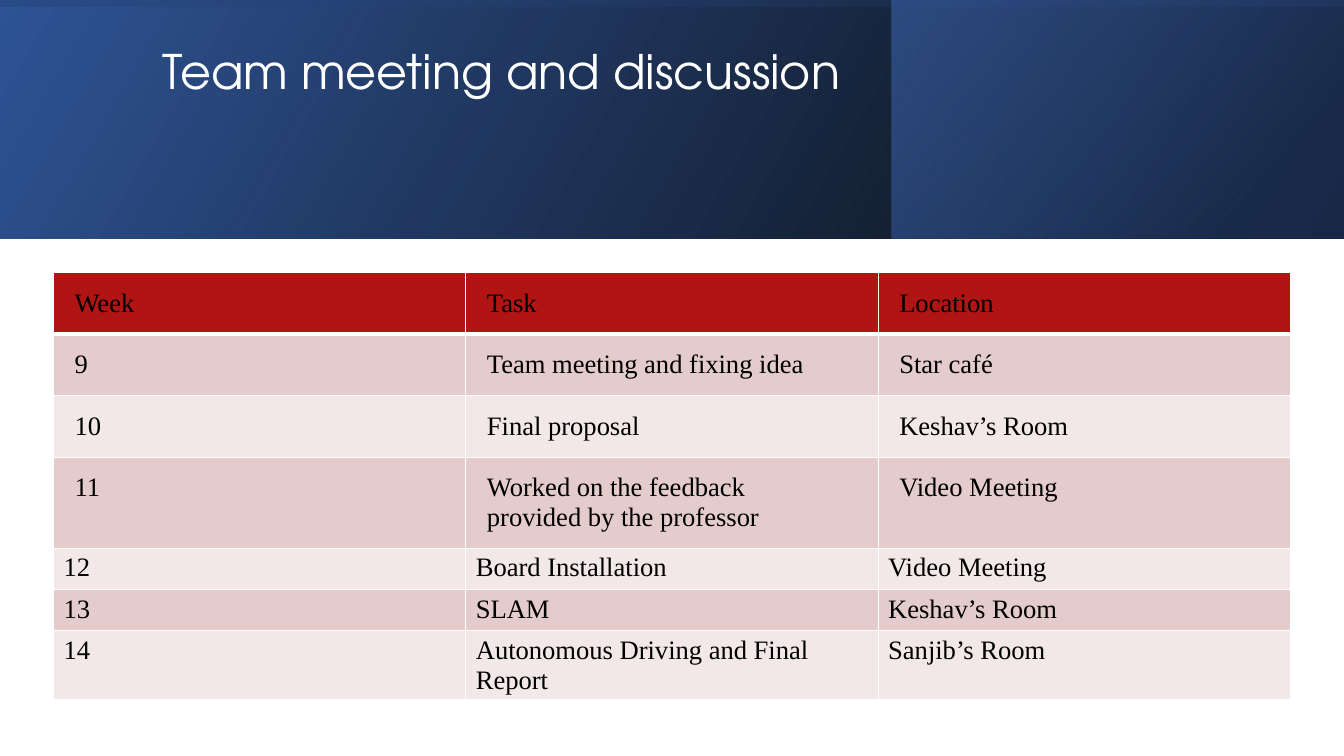
import pptx
import pptx.dml.color
import pptx.enum.shapes
import pptx.enum.text
import pptx.oxml
import pptx.oxml.ns
import pptx.util

Inches = pptx.util.Inches
Pt = pptx.util.Pt
NS = pptx.oxml.ns.nsdecls("a")


def color(hex_string):
    return pptx.dml.color.RGBColor.from_string(hex_string)


deck = pptx.Presentation()
deck.slide_width = Inches(13.33)
deck.slide_height = Inches(7.5)
slide = deck.slides.add_slide(deck.slide_layouts[5])
slide.background.fill.solid()
slide.background.fill.fore_color.rgb = color("FFFFFF")

# Header band: three translucent gradients; stops are (position %, colour, opacity %)
band_height = Inches(2.37)
full_width = deck.slide_width
accent_left = Inches(8.84)
turned_left = (full_width - band_height) // 2
header_layers = [
    ((0, 0, full_width, band_height), 0, 330,
     [(0, "000000", 96), (100, "2F5496", 100)]),
    ((accent_left, 0, full_width - accent_left, band_height), 0, 320,
     [(0, "1F3864", 68), (19, "1F3864", 68), (100, "4472C4", 48)]),
    ((turned_left, -turned_left, band_height, full_width), 270, 350,
     [(0, "2F5496", 16), (23, "2F5496", 16), (99, "000000", 45), (100, "000000", 45)]),
]
for place, rotation, angle, stops in header_layers:
    layer = slide.shapes.add_shape(pptx.enum.shapes.MSO_SHAPE.RECTANGLE, *place)
    layer.shadow.inherit = False
    layer.line.fill.background()
    layer.rotation = rotation
    properties = layer._element.spPr
    properties.xfrm.set("flipH", "1")
    stop_xml = "".join(
        f'<a:gs pos="{position * 1000}"><a:srgbClr val="{shade}">'
        f'<a:alpha val="{opacity * 1000}"/></a:srgbClr></a:gs>'
        for position, shade, opacity in stops)
    properties.insert(2, pptx.oxml.parse_xml(
        f'<a:gradFill {NS} rotWithShape="1"><a:gsLst>{stop_xml}</a:gsLst>'
        f'<a:lin ang="{angle * 60000}" scaled="0"/></a:gradFill>'))

# Title, brought in front of the header band
heading = slide.shapes.title
heading_box = {"left": 1.51, "top": 0.38, "width": 10.63, "height": 1.72}
for side, length in heading_box.items():
    setattr(heading, side, Inches(length))
slide.shapes._spTree.append(heading._element)
heading_frame = heading.text_frame
heading_frame.text = "Team meeting and discussion"
heading_format = {
    "word_wrap": True,
    "auto_size": pptx.enum.text.MSO_AUTO_SIZE.NONE,
    "vertical_anchor": pptx.enum.text.MSO_ANCHOR.TOP,
    "margin_left": Inches(0.1),
    "margin_top": Inches(0.1),
}
for attribute, value in heading_format.items():
    setattr(heading_frame, attribute, value)
heading_line = heading_frame.paragraphs[0]
heading_line.alignment = pptx.enum.text.PP_ALIGN.LEFT
heading_line.line_spacing = 0.9
heading_font = heading_line.runs[0].font
heading_font.name = "TeX Gyre Adventor"
heading_font.size = Pt(34)
heading_font.color.rgb = color("FFFFFF")

# Meeting schedule
meetings = [
    ("Week", "Task", "Location"),
    ("9", "Team meeting and fixing idea", "Star café"),
    ("10", "Final proposal", "Keshav’s Room"),
    ("11", "Worked on the feedback provided by the professor", "Video Meeting"),
    ("12", "Board Installation", "Video Meeting"),
    ("13", "SLAM", "Keshav’s Room"),
    ("14", "Autonomous Driving and Final Report", "Sanjib’s Room"),
]
roomy_rows = 4
roomy_margins = {"margin_left": 0.21, "margin_top": 0.16,
                 "margin_right": 0.34, "margin_bottom": 0.16}
tight_margins = {"margin_left": 0.1, "margin_top": 0.05,
                 "margin_right": 0.1, "margin_bottom": 0.05}
row_height = 0.41
schedule = slide.shapes.add_table(
    len(meetings), 3, Inches(0.53), Inches(2.7),
    Inches(12.27), Inches(row_height * len(meetings))).table

for row, meeting in enumerate(meetings):
    is_header = row == 0
    row_fill = "B01513" if is_header else ("F2E8E7", "E4CCCC")[row % 2]
    margins = roomy_margins if row < roomy_rows else tight_margins
    # The rule under the header is thicker than the others
    rules = {"lnL": 1, "lnR": 1, "lnT": 3 if row == 1 else 1, "lnB": 3 if is_header else 1}
    for column, entry in enumerate(meeting):
        cell = schedule.cell(row, column)
        cell.text = entry
        for margin, length in margins.items():
            setattr(cell, margin, Inches(length))
        cell.vertical_anchor = (pptx.enum.text.MSO_ANCHOR.MIDDLE if is_header
                                else pptx.enum.text.MSO_ANCHOR.TOP)
        cell.fill.solid()
        cell.fill.fore_color.rgb = color(row_fill)
        entry_font = cell.text_frame.paragraphs[0].runs[0].font
        entry_font.name = "Times New Roman"
        entry_font.size = Pt(19)
        entry_font.bold = False
        entry_font.color.rgb = color("000000")
        for order, (edge, points) in enumerate(rules.items()):
            cell._tc.tcPr.insert(order, pptx.oxml.parse_xml(
                f'<a:{edge} {NS} w="{Pt(points)}"><a:solidFill>'
                f'<a:srgbClr val="FFFFFF"/></a:solidFill></a:{edge}>'))

deck.save("out.pptx")
